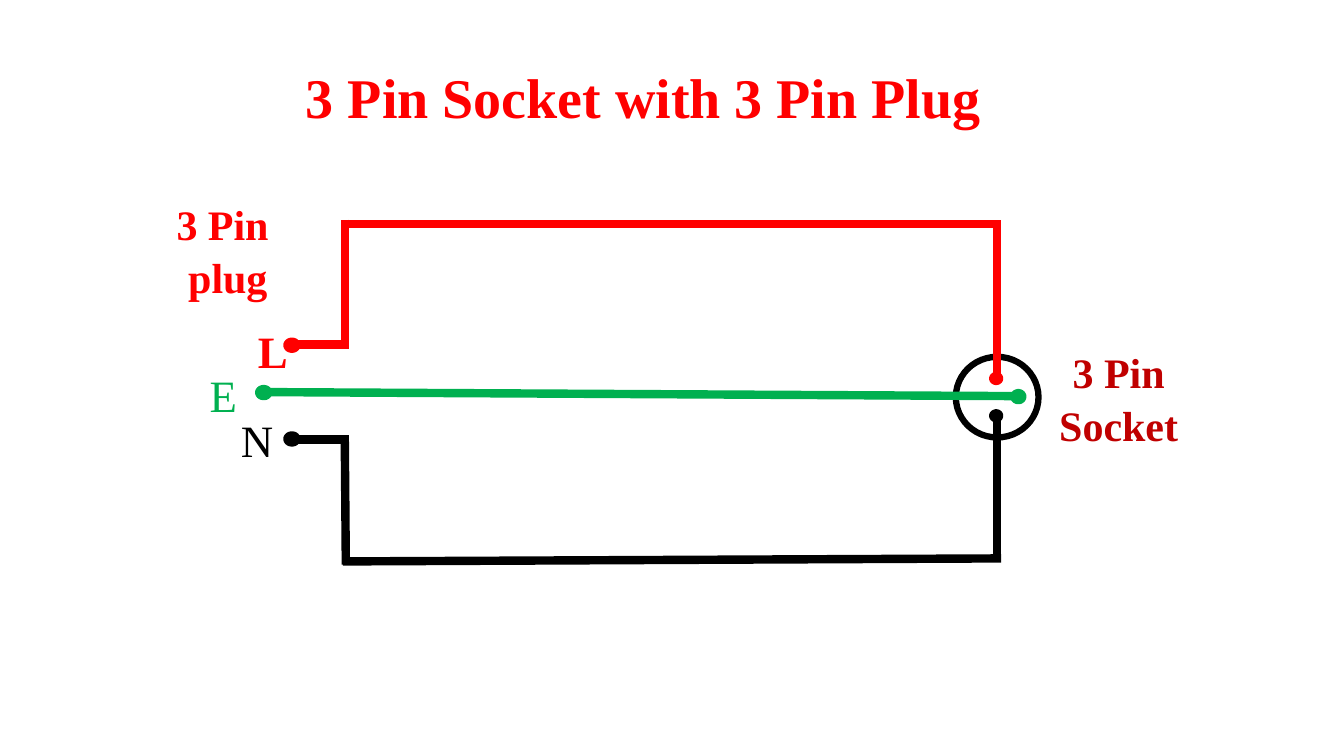
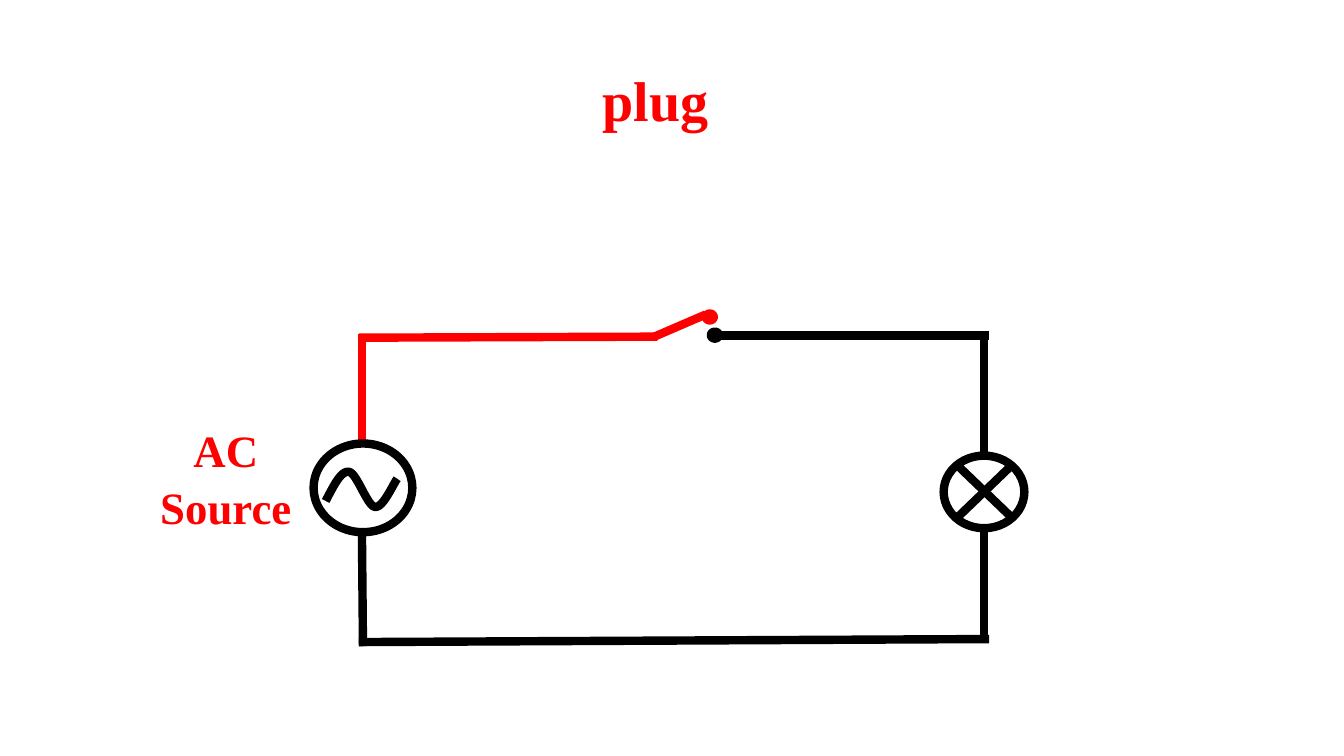
import pptx
import pptx.util
import pptx.dml.color
import pptx.enum.shapes
import pptx.enum.text
import pptx.oxml
import pptx.oxml.ns

RGBColor = pptx.dml.color.RGBColor
RED = RGBColor(0xFF, 0x00, 0x00)
DARK_RED = RGBColor(0xC0, 0x00, 0x00)
GREEN = RGBColor(0x00, 0xB0, 0x50)
BLACK = RGBColor(0x00, 0x00, 0x00)
WHITE = RGBColor(0xFF, 0xFF, 0xFF)

PX = 9144
FONT = "Times New Roman"
ALIGN = pptx.enum.text.PP_ALIGN
TITLE_ONLY = 5


def px(*lengths):
    return [pptx.util.Emu(round(n * PX)) for n in lengths]


def write(tf, text, size=32, color=RED, bold=True, align=ALIGN.CENTER, spacing=1.05):
    tf.word_wrap = True
    tf.auto_size = pptx.enum.text.MSO_AUTO_SIZE.NONE
    tf.text = text
    for p in tf.paragraphs:
        p.alignment = align
        p.line_spacing = spacing
        p.space_before = pptx.util.Pt(0)
        for r in p.runs:
            r.font.name = FONT
            r.font.size = pptx.util.Pt(size)
            r.font.bold = bold
            r.font.color.rgb = color


def bezier(points, steps=12):
    for i in range(1, steps + 1):
        t = i / steps
        weights = ((1 - t) ** 3, 3 * t * (1 - t) ** 2, 3 * t * t * (1 - t), t ** 3)
        yield tuple(sum(w * pt[axis] for w, pt in zip(weights, points)) for axis in (0, 1))


class Circuit:
    def __init__(self, prs):
        self.prs = prs
        self.slide = None

    def new_slide(self, title, x, y, w, h, spacing):
        self.slide = self.prs.slides.add_slide(self.prs.slide_layouts[TITLE_ONLY])
        sp = self.slide.shapes.title
        sp.left, sp.top, sp.width, sp.height = px(x, y, w, h)
        sp.text_frame.vertical_anchor = pptx.enum.text.MSO_ANCHOR.MIDDLE
        write(sp.text_frame, title, size=40, spacing=spacing)

    def label(self, text, x, y, w, h, **fmt):
        sp = self.slide.shapes.add_textbox(*px(x, y, w, h))
        write(sp.text_frame, text, **fmt)

    def outline(self, sp, color, weight=6):
        sp.line.color.rgb = color
        sp.line.width = pptx.util.Pt(weight)

    def wire(self, color, x1, y1, x2, y2):
        straight = pptx.enum.shapes.MSO_CONNECTOR.STRAIGHT
        line = self.slide.shapes.add_connector(straight, *px(x1, y1, x2, y2))
        self.outline(line, color)
        spPr = line._element.spPr
        spPr.append(pptx.oxml.parse_xml(
            "<a:effectLst %s/>" % pptx.oxml.ns.nsdecls("a")))

    def oval(self, x, y, w, h, fill=WHITE, line=BLACK, weight=6):
        oval = pptx.enum.shapes.MSO_SHAPE.OVAL
        sp = self.slide.shapes.add_shape(oval, *px(x, y, w, h))
        sp.shadow.inherit = False
        sp.fill.solid()
        sp.fill.fore_color.rgb = fill
        self.outline(sp, line, weight)

    def dot(self, color, x, y, w=8, weight=6):
        self.oval(x, y, w, 7, color, color, weight)

    def curve(self, start, *segments):
        builder = self.slide.shapes.build_freeform(*px(*start))
        points = []
        for segment in segments:
            points.extend(bezier((start,) + segment))
            start = segment[-1]
        builder.add_line_segments([px(*pt) for pt in points], close=False)
        sp = builder.convert_to_shape()
        sp.shadow.inherit = False
        sp.fill.background()
        self.outline(sp, BLACK)


def draw_socket(c):
    c.new_slide("3 Pin Socket with 3 Pin Plug", 193, 59, 890, 81, spacing=0.9)
    c.oval(948, 354, 82, 80, weight=4.5)

    for color, *ends in (
        (RED, 342, 218, 342, 342),
        (RED, 339, 222, 993, 222),
        (RED, 289, 342, 346, 342),
        (RED, 989, 222, 989, 372),
        (BLACK, 342, 438, 343, 560),
        (BLACK, 340, 557, 993, 554),
        (BLACK, 290, 436, 346, 436),
        (BLACK, 989, 409, 989, 557),
        (GREEN, 263, 389, 1013, 393),
    ):
        c.wire(color, *ends)

    c.dot(RED, 285, 339, w=9)
    c.dot(GREEN, 257, 386, w=9)
    c.dot(BLACK, 285, 432, w=9)
    c.dot(RED, 984, 372, weight=4.5)
    c.dot(GREEN, 1006, 390)
    c.dot(BLACK, 984, 409, weight=4.5)

    c.label("3 Pin \nplug", 114, 190, 224, 111, size=30)
    c.label("3 Pin Socket", 1000, 336, 219, 111, size=30, color=DARK_RED)
    c.label("L", 246, 314, 26, 64)
    c.label("E", 198, 357, 35, 64, color=GREEN, bold=False, align=ALIGN.RIGHT)
    c.label("N", 229, 402, 35, 64, color=BLACK, bold=False, align=ALIGN.RIGHT)


def draw_switch(c):
    c.new_slide("plug", 281, 58, 738, 77, spacing=1.05)

    for color, *ends in (
        (RED, 359, 331, 359, 437),
        (RED, 356, 335, 652, 334),
        (RED, 649, 334, 700, 312),
        (BLACK, 714, 333, 981, 333),
        (BLACK, 359, 530, 360, 641),
        (BLACK, 356, 637, 981, 634),
        (BLACK, 976, 524, 976, 638),
        (BLACK, 976, 330, 976, 452),
    ):
        c.wire(color, *ends)
    c.dot(RED, 700, 311)
    c.dot(BLACK, 705, 329)

    c.oval(311, 440, 98, 88)
    c.curve((323, 497),
            ((331, 482), (338, 467), (346, 468)),
            ((354, 469), (364, 502), (372, 503)),
            ((380, 504), (390, 480), (394, 475)))

    c.oval(936, 452, 80, 72)
    c.wire(BLACK, 951, 463, 1002, 512)
    c.wire(BLACK, 951, 512, 1002, 463)

    c.label("AC Source", 140, 412, 168, 118)


def main():
    prs = pptx.Presentation()
    prs.slide_width, prs.slide_height = px(1333, 750)
    c = Circuit(prs)
    draw_socket(c)
    draw_switch(c)
    prs.save("out.pptx")


if __name__ == "__main__":
    main()
